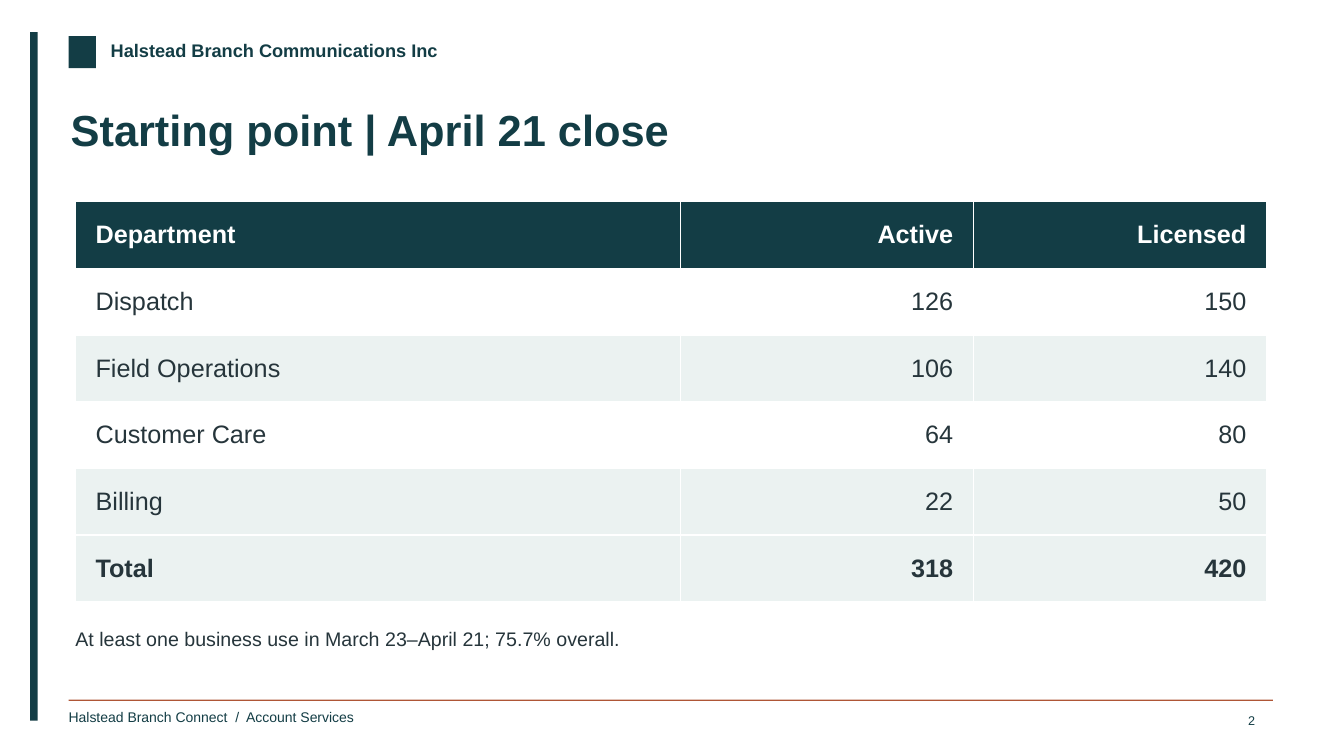
"""Build the slide that shows active and licensed seats by department."""
from dataclasses import dataclass

import pptx
import pptx.dml.color
import pptx.enum.shapes
import pptx.enum.text
import pptx.util

Cm = pptx.util.Cm
Align = pptx.enum.text.PP_ALIGN
Anchor = pptx.enum.text.MSO_ANCHOR


@dataclass(frozen=True)
class Theme:
    """Colours, font and type sizes."""
    font: str = "Arial"
    teal: str = "133D45"
    rust: str = "AF5636"
    ink: str = "26353B"
    pale: str = "EBF2F1"
    white: str = "FFFFFF"
    head: int = 31
    cell: int = 18
    note: int = 14
    brand: int = 13
    foot: int = 10
    page: int = 9


THEME = Theme()
ROWS = [
    ("Department", "Active", "Licensed"),
    ("Dispatch", "126", "150"),
    ("Field Operations", "106", "140"),
    ("Customer Care", "64", "80"),
    ("Billing", "22", "50"),
    ("Total", "318", "420"),
]


def paint(fill, color):
    """Give a fill one solid colour."""
    fill.solid()
    fill.fore_color.rgb = pptx.dml.color.RGBColor.from_string(color)


def write(frame, text, size, color, bold=False, align=Align.LEFT):
    """Write one run in the first paragraph of a frame."""
    par = frame.paragraphs[0]
    par.alignment = align
    run = par.add_run()
    run.text = text
    run.font.name = THEME.font
    run.font.size = pptx.util.Pt(size)
    run.font.bold = bold
    run.font.color.rgb = pptx.dml.color.RGBColor.from_string(color)


def trim(frame, wrap):
    """Clear the margins of a frame and pin its text to the top."""
    frame.margin_left = frame.margin_right = 0
    frame.margin_top = frame.margin_bottom = 0
    frame.auto_size = pptx.enum.text.MSO_AUTO_SIZE.NONE
    frame.vertical_anchor = Anchor.TOP
    frame.word_wrap = wrap


def add_block(slide, box, color):
    """Add a plain filled rectangle."""
    kind = pptx.enum.shapes.MSO_SHAPE.RECTANGLE
    block = slide.shapes.add_shape(kind, *map(Cm, box))
    block.shadow.inherit = False
    paint(block.fill, color)
    block.line.fill.background()


def add_label(slide, box, text, size, color, bold=False, wrap=False):
    """Add a text box without margins."""
    frame = slide.shapes.add_textbox(*map(Cm, box)).text_frame
    trim(frame, wrap)
    write(frame, text, size, color, bold)


def add_page(slide, box, text):
    """Add the page number at the right."""
    frame = slide.shapes.add_textbox(*map(Cm, box)).text_frame
    frame.word_wrap = False
    write(frame, text, THEME.page, THEME.teal, align=Align.RIGHT)


def set_title(slide, box, text):
    """Place and fill the title."""
    title = slide.shapes.title
    title.left, title.top, title.width, title.height = map(Cm, box)
    trim(title.text_frame, True)
    write(title.text_frame, text, THEME.head, THEME.teal, True)


def add_grid(slide, left, top, widths, height, rows):
    """Add the table with a header, striped rows and a total."""
    last = len(rows) - 1
    grid = slide.shapes.add_table(
        len(rows), len(widths), Cm(left), Cm(top),
        Cm(sum(widths)), Cm(height * len(rows))).table
    grid.horz_banding = False
    for col, width in zip(grid.columns, widths):
        col.width = Cm(width)
    for r, row in enumerate(rows):
        grid.rows[r].height = Cm(height)
        shade = THEME.pale if r % 2 == 0 or r == last else THEME.white
        for c, text in enumerate(row):
            cell = grid.cell(r, c)
            cell.margin_left = cell.margin_right = Cm(0.51)
            cell.vertical_anchor = Anchor.MIDDLE
            paint(cell.fill, shade if r else THEME.teal)
            write(cell.text_frame, text, THEME.cell,
                  THEME.ink if r else THEME.white, r in (0, last),
                  Align.RIGHT if c else Align.LEFT)


def main():
    """Build and save the slide."""
    deck = pptx.Presentation()
    deck.slide_width, deck.slide_height = Cm(33.87), Cm(19.05)
    slide = deck.slides.add_slide(deck.slide_layouts.get_by_name("Title Only"))
    add_block(slide, (0.76, 0.81, 0.19, 17.35), THEME.teal)
    add_block(slide, (1.73, 0.91, 0.69, 0.81), THEME.teal)
    add_label(slide, (2.79, 0.99, 9.02, 0.69),
              "Halstead Branch Communications Inc",
              THEME.brand, THEME.teal, bold=True)
    add_block(slide, (1.73, 17.63, 30.35, 0.03), THEME.rust)
    add_label(slide, (1.73, 17.86, 6.6, 0.58),
              "Halstead Branch Connect  /  Account Services",
              THEME.foot, THEME.teal)
    set_title(slide, (1.78, 2.59, 30.23, 2.18),
              "Starting point | April 21 close")
    add_label(slide, (1.9, 15.8, 30.02, 1.12),
              "At least one business use in March 23–April 21; 75.7% overall.",
              THEME.note, THEME.ink, wrap=True)
    add_grid(slide, 1.9, 5.08, (15.24, 7.39, 7.39), 1.68, ROWS)
    add_page(slide, (30.48, 17.83, 1.4, 0.51), "2")
    deck.save("out.pptx")


if __name__ == "__main__":
    main()
